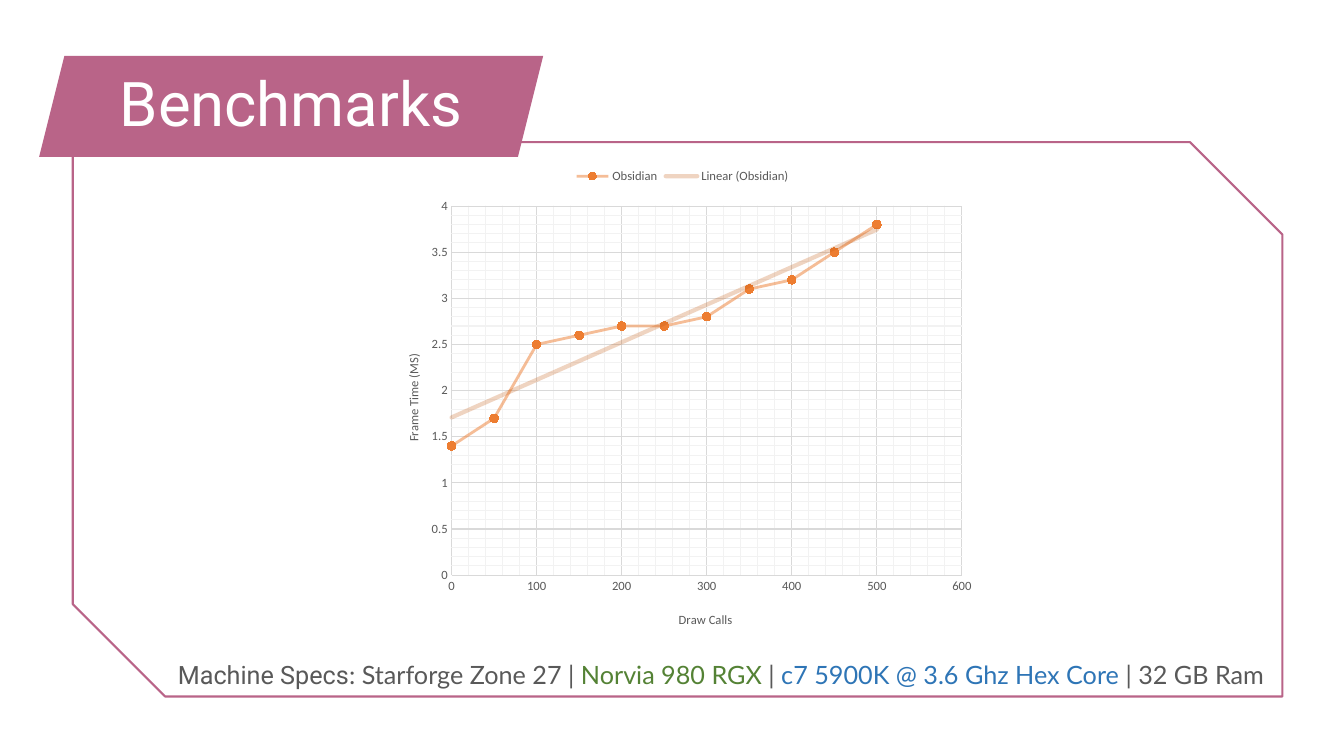
import pptx
import pptx.chart.data
import pptx.dml.color
import pptx.enum.chart
import pptx.enum.shapes
import pptx.enum.text
import pptx.oxml
import pptx.oxml.ns
import pptx.util

Pt = pptx.util.Pt

COLOURS = {
    "white": "FFFFFF", "plum": "B96488", "grey": "595959",
    "green": "548235", "blue": "2E75B6", "orange": "ED7D31",
    "trend": "C55A11", "grid": "D9D9D9", "minor_grid": "F2F2F2",
}
FRAME_TIMES = [1.4, 1.7, 2.5, 2.6, 2.7, 2.7, 2.8, 3.1, 3.2, 3.5, 3.8]
DRAW_CALL_STEP = 50
SPECS = [
    ("Machine Specs", "Roboto", "grey"),
    (": Starforge Zone 27 | ", "Lato", "grey"),
    ("Norvia 980 RGX ", "Lato", "green"),
    ("| ", "Lato", "grey"),
    ("c7 5900K @ 3.6 Ghz Hex Core ", "Lato", "blue"),
    ("| 32 GB Ram", "Lato", "grey"),
]


def rgb(name):
    """Return the named colour."""
    return pptx.dml.color.RGBColor.from_string(COLOURS[name])


def style_font(font, size, face, colour):
    """Set size, typeface and colour of a font."""
    font.size, font.name = Pt(size), face
    font.color.rgb = rgb(colour)


def style_line(line, colour, width):
    """Set colour and width of a line."""
    line.color.rgb = rgb(colour)
    line.width = Pt(width)


def line_xml(colour, width, opacity):
    """Return chart line properties with an opacity in percent."""
    return pptx.oxml.parse_xml(
        f'<c:spPr {pptx.oxml.ns.nsdecls("c", "a")}><a:ln w="{Pt(width)}" cap="rnd">'
        f'<a:solidFill><a:srgbClr val="{COLOURS[colour]}">'
        f'<a:alpha val="{opacity * 1000}"/></a:srgbClr></a:solidFill></a:ln></c:spPr>')


def add_panel(slide, kind, box, fill):
    """Add a flat, unlined preset shape in the box."""
    panel = slide.shapes.add_shape(kind, *map(Pt, box))
    panel.shadow.inherit = False
    panel.fill.solid()
    panel.fill.fore_color.rgb = rgb(fill)
    panel.line.fill.background()
    return panel


def add_heading(slide, box):
    """Place the title on its slanted banner."""
    banner = add_panel(slide, pptx.enum.shapes.MSO_SHAPE.PARALLELOGRAM, box, "plum")
    title = slide.shapes.title
    title.left, title.top, title.width, title.height = map(Pt, box)
    banner.element.addnext(title.element)
    title.text_frame.text = "Benchmarks"
    title.text_frame.vertical_anchor = pptx.enum.text.MSO_ANCHOR.MIDDLE
    heading = title.text_frame.paragraphs[0]
    heading.alignment = pptx.enum.text.PP_ALIGN.CENTER
    heading.line_spacing = 0.9
    style_font(heading.font, 44, "Roboto", "white")


def add_specs(slide, box):
    """Write the machine specification line in the box."""
    specs = slide.shapes.add_textbox(*map(Pt, box)).text_frame
    specs.word_wrap = True
    line = specs.paragraphs[0]
    line.line_spacing, line.space_before = 0.9, Pt(10)
    for text, face, colour in SPECS:
        part = line.add_run()
        part.text = text
        style_font(part.font, 18, face, colour)


def set_layout(parent, index, target="", **fractions):
    """Give a chart part a manual layout in fractions of the chart."""
    for old in parent.xpath("c:layout"):
        parent.remove(old)
    modes = "".join(f'<c:{axis}Mode val="edge"/>' for axis in "xy")
    sizes = "".join(f'<c:{key} val="{value}"/>' for key, value in fractions.items())
    parent.insert(index, pptx.oxml.parse_xml(
        f'<c:layout {pptx.oxml.ns.nsdecls("c")}><c:manualLayout>'
        f"{target}{modes}{sizes}</c:manualLayout></c:layout>"))


def style_axis(axis, label, maximum, major, minor):
    """Set scale, gridlines, labels and title of an axis."""
    axis.minimum_scale, axis.maximum_scale = 0, maximum
    axis.major_unit, axis.minor_unit = major, minor
    axis.has_major_gridlines = axis.has_minor_gridlines = True
    style_line(axis.major_gridlines.format.line, "grid", 0.75)
    axis.major_tick_mark = axis.minor_tick_mark = pptx.enum.chart.XL_TICK_MARK.NONE
    axis.tick_labels.number_format = "General"
    axis.tick_labels.number_format_is_linked = False
    style_font(axis.tick_labels.font, 9, "Calibri", "grey")
    caption = axis.axis_title.text_frame
    caption.text = label
    style_font(caption.paragraphs[0].font, 9, "Calibri", "grey")
    caption.paragraphs[0].font.bold = False


def style_series(chart):
    """Format the measured line, its markers and its linear trend."""
    timing = chart.plots[0].series[0]
    timing.smooth = False
    style_line(timing.format.line, "orange", 2)
    timing.marker.style = pptx.enum.chart.XL_MARKER_STYLE.CIRCLE
    timing.marker.size = 6
    timing.marker.format.fill.solid()
    timing.marker.format.fill.fore_color.rgb = rgb("orange")
    timing.marker.format.line.fill.background()
    line_colour = chart.element.xpath(".//c:ser/c:spPr/a:ln//a:srgbClr")[0]
    line_colour.append(pptx.oxml.parse_xml(
        f'<a:alpha {pptx.oxml.ns.nsdecls("a")} val="50000"/>'))
    trend = pptx.oxml.parse_xml(
        f'<c:trendline {pptx.oxml.ns.nsdecls("c")}>'
        '<c:trendlineType val="linear"/><c:dispRSqr val="0"/><c:dispEq val="0"/>'
        "</c:trendline>")
    trend.insert(0, line_xml("trend", 3, 25))
    chart.element.xpath(".//c:ser/c:xVal")[0].addprevious(trend)


def add_benchmark_chart(slide, box):
    """Plot frame time against draw calls in the box."""
    data = pptx.chart.data.XyChartData()
    timing = data.add_series("Obsidian")
    for step, frame_time in enumerate(FRAME_TIMES):
        timing.add_data_point(step * DRAW_CALL_STEP, frame_time)
    chart = slide.shapes.add_chart(
        pptx.enum.chart.XL_CHART_TYPE.XY_SCATTER_LINES, *map(Pt, box), data).chart
    chart.has_title = False
    chart.plots[0].vary_by_categories = False
    style_font(chart.font, 9, "Calibri", "grey")
    chart.has_legend = True
    chart.legend.position = pptx.enum.chart.XL_LEGEND_POSITION.TOP
    chart.legend.include_in_layout = False
    style_font(chart.legend.font, 9, "Calibri", "grey")
    style_axis(chart.category_axis, "Draw Calls", 600, 100, 20)
    style_axis(chart.value_axis, "Frame Time (MS)", 4, 0.5, 0.1)
    style_line(chart.category_axis.format.line, "grid", 0.75)
    chart.value_axis.format.line.fill.background()
    for minor_grid in chart.element.xpath(".//c:minorGridlines"):
        minor_grid.append(line_xml("minor_grid", 0.75, 100))
    style_series(chart)

    calls_title, time_title = chart.element.xpath(".//c:valAx/c:title")
    turned = time_title.xpath(".//a:bodyPr")[0]
    turned.set("rot", "-5400000")
    turned.set("vert", "horz")
    set_layout(calls_title, 1, x=0.49, y=0.93)
    set_layout(time_title, 1, x=0.04, y=0.4)
    set_layout(chart.element.xpath(".//c:plotArea")[0], 0,
               '<c:layoutTarget val="inner"/>', x=0.12, y=0.1, w=0.84, h=0.76)


def build_benchmark_slide(deck, box):
    """Build the benchmark slide around its framed box."""
    slide = deck.slides.add_slide(deck.slide_layouts[5])
    left, top, width, height = box
    frame = add_panel(slide, pptx.enum.shapes.MSO_SHAPE.SNIP_2_DIAG_RECTANGLE, box, "white")
    style_line(frame.line, "plum", 1.5)
    add_heading(slide, (left - 24, top - 61.5, 360, 72))
    add_specs(slide, (left + 68, top + height - 27.5, width - 68, 27.5))
    add_benchmark_chart(slide, (left + 218.5, top + 11, 434, 347))


def main():
    """Create and save the deck."""
    deck = pptx.Presentation()
    deck.slide_width, deck.slide_height = Pt(960), Pt(540)
    build_benchmark_slide(deck, (52, 101.5, 864, 396))
    deck.save("out.pptx")


if __name__ == "__main__":
    main()
